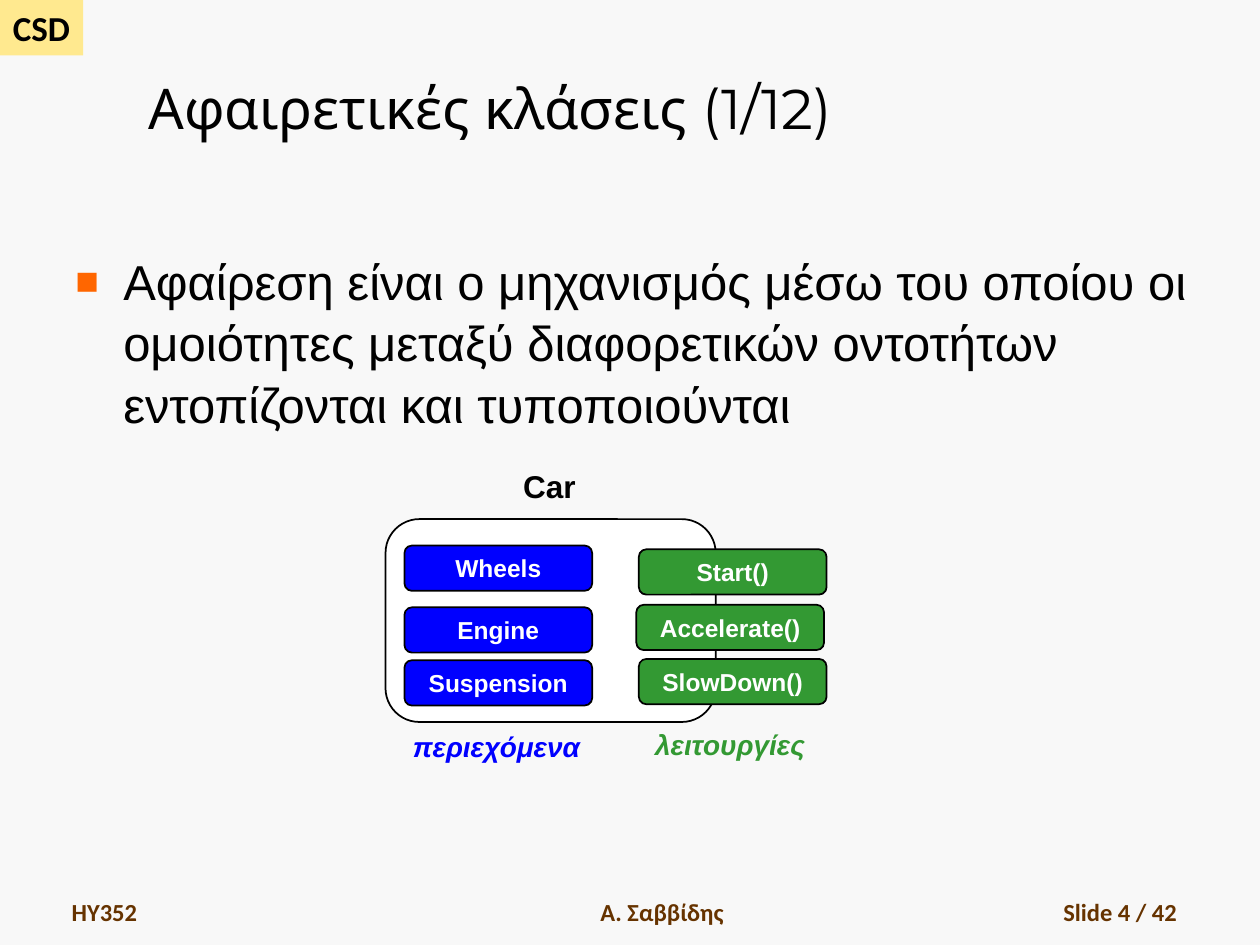
from dataclasses import dataclass
from pptx import Presentation
from pptx.util import Inches, Pt
from pptx.dml.color import RGBColor
from pptx.enum.shapes import MSO_SHAPE
from pptx.enum.text import PP_ALIGN, MSO_ANCHOR
from lxml import etree


@dataclass(frozen=True)
class Theme:
    back: str = "F8F8F8"
    badge: str = "FFE98F"
    ink: str = "000000"
    white: str = "FFFFFF"
    brown: str = "663300"
    blue: str = "0000FF"
    green: str = "339933"
    mark: str = "FF6600"
    title: int = 32
    body: int = 28
    tag: int = 20
    head: int = 18
    note: int = 16
    small: int = 14


LEFT, MID, RIGHT = PP_ALIGN.LEFT, PP_ALIGN.CENTER, PP_ALIGN.RIGHT


class Deck:
    def __init__(self, theme):
        self.theme = theme
        self.file = Presentation()
        self.file.slide_width = Inches(10)
        self.file.slide_height = Inches(7.5)
        self.slide = self.file.slides.add_slide(self.file.slide_layouts[6])
        fill = self.slide.background.fill
        fill.solid()
        fill.fore_color.rgb = RGBColor.from_string(theme.back)

    def label(self, shape, text, size, color, font="Arial", align=MID,
              anchor=MSO_ANCHOR.MIDDLE, bold=False, slant=False, wrap=False):
        frame = shape.text_frame
        frame.word_wrap = wrap
        frame.vertical_anchor = anchor
        para = frame.paragraphs[0]
        para.alignment = align
        run = para.add_run()
        run.text = text
        run.font.name = font
        run.font.size = Pt(size)
        run.font.bold = bold
        run.font.italic = slant
        run.font.color.rgb = RGBColor.from_string(color)
        return para

    def text(self, box, text, size, color, **style):
        shape = self.slide.shapes.add_textbox(*map(Inches, box))
        return self.label(shape, text, size, color, **style)

    def box(self, box, fill, kind=MSO_SHAPE.ROUNDED_RECTANGLE, line=True):
        shape = self.slide.shapes.add_shape(kind, *map(Inches, box))
        shape.shadow.inherit = False
        shape.fill.solid()
        shape.fill.fore_color.rgb = RGBColor.from_string(fill)
        if line:
            shape.line.color.rgb = RGBColor.from_string(self.theme.ink)
            shape.line.width = Pt(1)
        else:
            shape.line.fill.background()
        return shape

    def bullet(self, para, sign, color, scale, indent):
        props = para._p.get_or_add_pPr()
        props.set("marL", str(Inches(indent)))
        props.set("indent", str(-Inches(indent)))
        space = props.nsmap["a"]

        def add(parent, tag, **attrs):
            return etree.SubElement(parent, f"{{{space}}}{tag}", **attrs)

        add(add(props, "buClr"), "srgbClr", val=color)
        add(props, "buSzPct", val=str(scale * 1000))
        add(props, "buFont", typeface="Arial")
        add(props, "buChar", char=sign)


theme = Theme()
deck = Deck(theme)

# Corner badge
badge = deck.box((0, 0, 0.66, 0.44), theme.badge, MSO_SHAPE.RECTANGLE, False)
deck.label(badge, "CSD", theme.tag, theme.ink, font="Calibri", bold=True)

# Title and statement
deck.text((1.08, 0.17, 8.92, 1), "Αφαιρετικές κλάσεις (1/12)", theme.title,
          theme.ink, font="Montserrat", align=LEFT,
          anchor=MSO_ANCHOR.BOTTOM, wrap=True)
point = deck.text((0.5, 1.92, 9.08, 2.46),
                  "Αφαίρεση είναι ο μηχανισμός μέσω του οποίου οι ομοιότητες "
                  "μεταξύ διαφορετικών οντοτήτων εντοπίζονται και "
                  "τυποποιούνται",
                  theme.body, theme.ink, align=LEFT,
                  anchor=MSO_ANCHOR.TOP, wrap=True)
point.line_spacing = 1.05
deck.bullet(point, "■", theme.mark, 80, 0.38)

# Car class with its contents and operations
deck.box((3.06, 4.12, 2.62, 1.61), theme.white)
parts = [("Wheels", 3.21, 4.33), ("Engine", 3.21, 4.82),
         ("Suspension", 3.21, 5.24)]
calls = [("Start()", 5.07, 4.36), ("Accelerate()", 5.05, 4.8),
         ("SlowDown()", 5.07, 5.23)]
for group, color in ((parts, theme.blue), (calls, theme.green)):
    for name, left, top in group:
        deck.label(deck.box((left, top, 1.49, 0.36), color), name,
                   theme.small, theme.white, bold=True)

# Diagram labels
deck.text((4.05, 3.66, 0.62, 0.4), "Car", theme.head, theme.ink, bold=True)
for name, box, color in (
        ("περιεχόμενα", (3.17, 5.74, 1.54, 0.37), theme.blue),
        ("λειτουργίες", (5.09, 5.72, 1.41, 0.37), theme.green)):
    deck.text(box, name, theme.note, color, bold=True, slant=True)

# Footer
for name, left, width, align in (("HY352", 0.47, 2.19, LEFT),
                                 ("Α. Σαββίδης", 3.67, 3.17, MID),
                                 ("Slide 4 / 42", 7.36, 2.08, RIGHT)):
    deck.text((left, 6.9, width, 0.5), name, theme.small, theme.brown,
              font="Calibri", align=align, anchor=MSO_ANCHOR.BOTTOM,
              bold=True, wrap=True)

deck.file.save("out.pptx")
